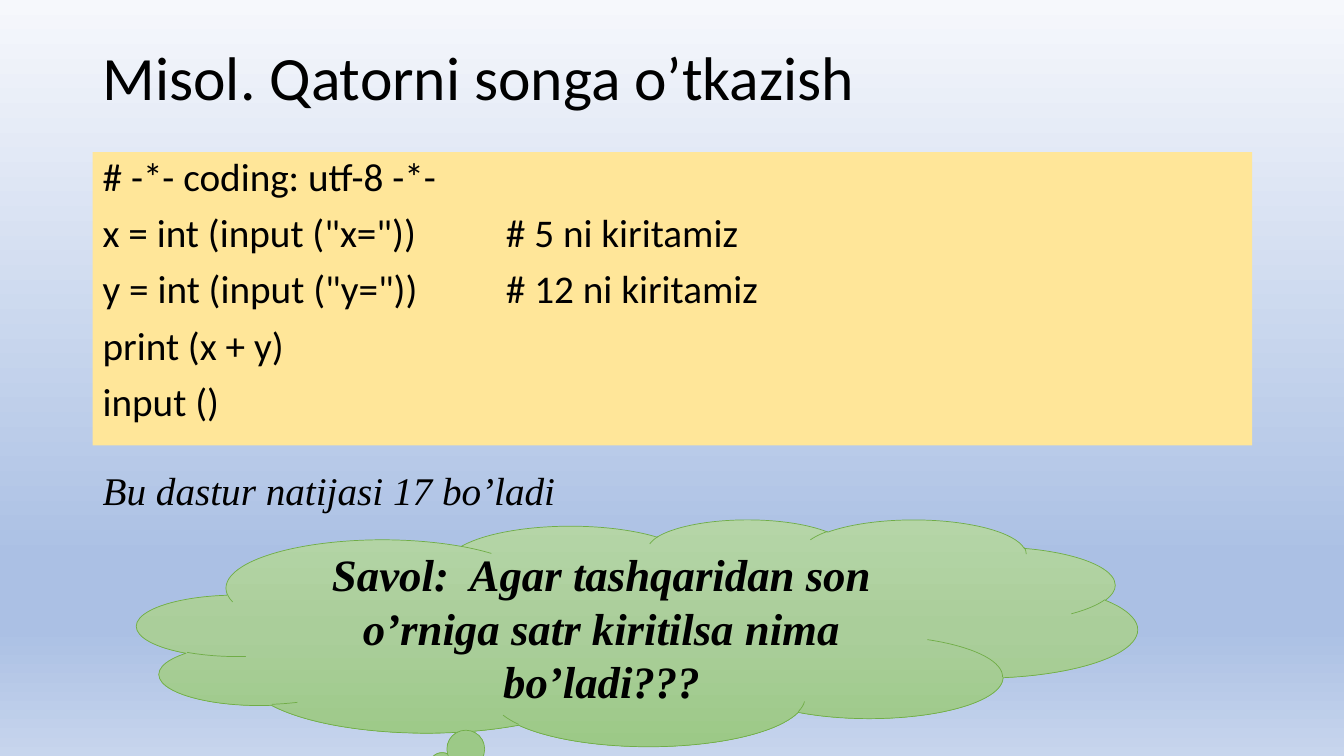
from pptx import Presentation
from pptx.dml.color import RGBColor
from pptx.enum.shapes import MSO_SHAPE
from pptx.enum.text import MSO_ANCHOR, PP_ALIGN
from pptx.oxml import parse_xml
from pptx.oxml.ns import nsdecls, qn
from pptx.util import Inches, Pt

SANS, SERIF = "Calibri", "Times New Roman"
LEFT, WIDTH = 0.92, 11.5


def color(value):
    return RGBColor.from_string(value)


def set_gradient(fill, element, stops):
    """Fill from top to bottom with (percent, colour) stops."""
    fill.gradient()
    fill.gradient_angle = 270
    stop_list = next(element.iter(qn("a:gsLst")))
    for old_stop in list(stop_list):
        stop_list.remove(old_stop)
    for percent, value in stops:
        stop_list.append(parse_xml(
            f'<a:gs {nsdecls("a")} pos="{percent * 1000}">'
            f'<a:srgbClr val="{value}"/></a:gs>'))


def write_lines(shape, lines, font, size, bold=False, italic=False,
                anchor=MSO_ANCHOR.TOP, align=PP_ALIGN.LEFT,
                spacing=1.0, before=0):
    frame = shape.text_frame
    frame.word_wrap = True
    frame.vertical_anchor = anchor
    for index, line in enumerate(lines):
        para = frame.add_paragraph() if index else frame.paragraphs[0]
        para.alignment = align
        para.line_spacing = spacing
        para.space_before = Pt(before)
        span = para.add_run()
        span.text = line
        span.font.name = font
        span.font.size = Pt(size)
        span.font.bold = bold
        span.font.italic = italic
        span.font.color.rgb = color("000000")


def add_title(page, box, text):
    title = page.shapes.add_textbox(*map(Inches, box))
    write_lines(title, [text], SANS, 44, anchor=MSO_ANCHOR.MIDDLE, spacing=0.9)


def add_code(page, box, lines):
    panel = page.shapes.add_shape(MSO_SHAPE.RECTANGLE, *map(Inches, box))
    panel.shadow.inherit = False
    panel.fill.solid()
    panel.fill.fore_color.rgb = color("FFE699")
    panel.line.fill.background()
    write_lines(panel, lines, SANS, 28, spacing=0.9, before=10)


def add_result(page, box, text):
    result = page.shapes.add_textbox(*map(Inches, box))
    write_lines(result, [text], SERIF, 28, italic=True)


def add_question(page, box, text):
    cloud = page.shapes.add_shape(MSO_SHAPE.CLOUD_CALLOUT, *map(Inches, box))
    cloud.shadow.inherit = False
    set_gradient(cloud.fill, cloud.element,
                 [(0, "B5D5A7"), (50, "AACE9A"), (100, "9CC987")])
    cloud.line.color.rgb = color("70AD47")
    cloud.line.width = Pt(0.5)
    write_lines(cloud, [text], SERIF, 32, bold=True, italic=True,
                anchor=MSO_ANCHOR.MIDDLE, align=PP_ALIGN.CENTER)


def main():
    deck = Presentation()
    deck.slide_width, deck.slide_height = Inches(13.33), Inches(7.5)
    page = deck.slides.add_slide(deck.slide_layouts[6])

    # Background
    set_gradient(page.background.fill, page.element,
                 [(0, "F6F8FC"), (74, "ABC0E4"), (83, "ABC0E4"), (100, "C7D5ED")])

    # Example program and its result
    add_title(page, (LEFT, 0.4, WIDTH, 0.79), "Misol. Qatorni songa o’tkazish")
    add_code(page, (LEFT, 1.51, WIDTH, 2.91), [
        "# -*- coding: utf-8 -*-",
        'х = int (input ("х=")) \t\t# 5 ni kiritamiz',
        'у = int (input ("у=")) \t\t# 12 ni kiritamiz',
        "print (х + у)",
        "input ()",
    ])
    add_result(page, (LEFT, 4.58, 5.08, 0.57), "Bu dastur natijasi 17 bo’ladi")

    # Question for the class
    add_question(page, (1.36, 5.15, 9.92, 2.25),
                 "Savol:  Agar tashqaridan son o’rniga satr kiritilsa nima bo’ladi???")

    deck.save("out.pptx")


if __name__ == "__main__":
    main()
